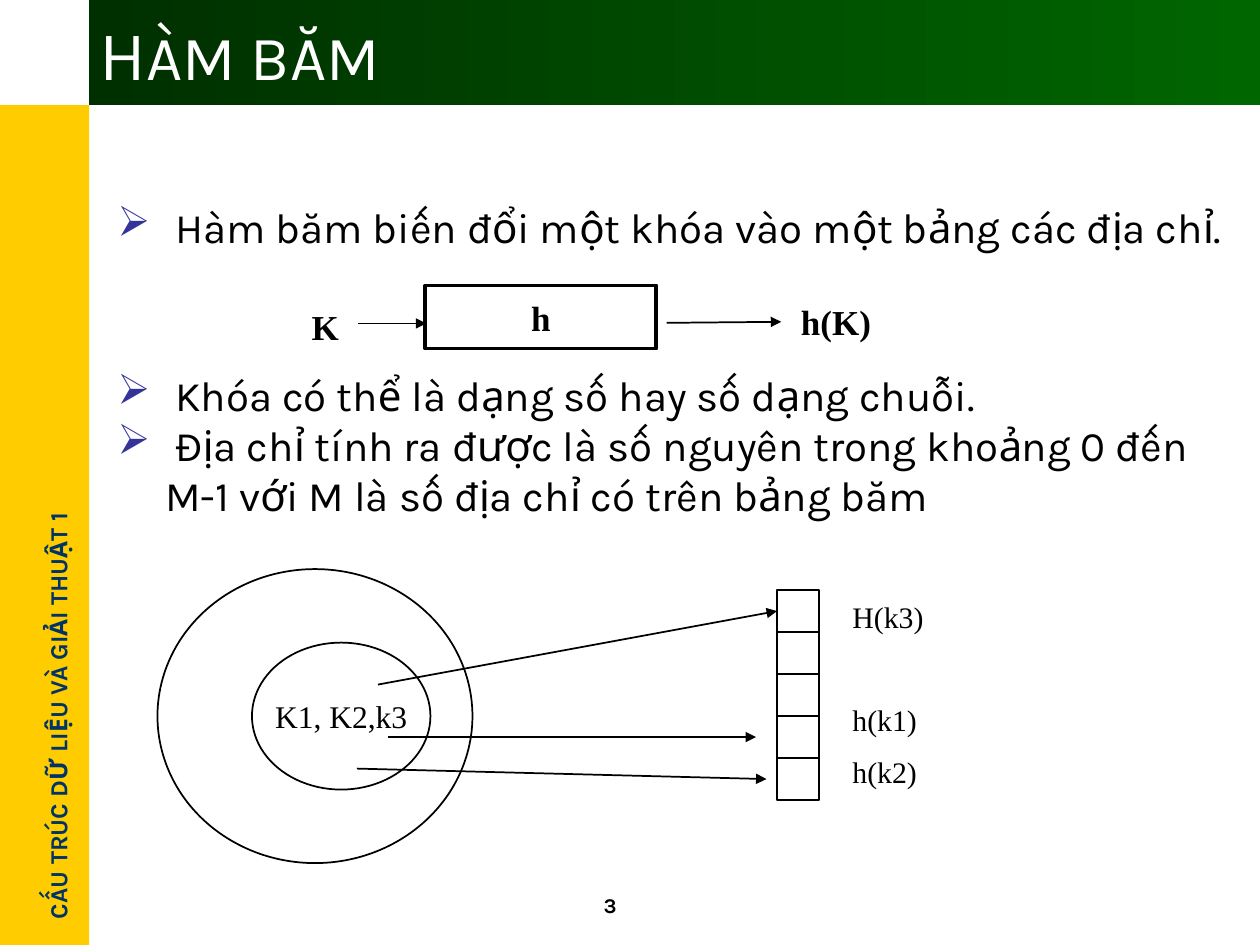
from dataclasses import dataclass

from lxml import etree
from pptx import Presentation
from pptx.dml.color import RGBColor
from pptx.enum.shapes import MSO_CONNECTOR, MSO_SHAPE
from pptx.enum.text import MSO_ANCHOR, MSO_AUTO_SIZE, PP_ALIGN
from pptx.oxml.ns import qn
from pptx.util import Inches, Pt

RECT, OVAL = MSO_SHAPE.RECTANGLE, MSO_SHAPE.OVAL
STRAIGHT = MSO_CONNECTOR.STRAIGHT
MIDDLE, TOP = MSO_ANCHOR.MIDDLE, MSO_ANCHOR.TOP
LEFT, CENTER = PP_ALIGN.LEFT, PP_ALIGN.CENTER
FIXED = MSO_AUTO_SIZE.NONE
COLUMNS, ROWS, UNIT = 120, 90, Inches(1 / 12)
LEFT_SIDE = 1


@dataclass(frozen=True)
class Theme:
    """Fonts, colours and type sizes of the slide."""
    sans: str = "Karla"
    serif: str = "Times New Roman"
    ink: str = "000000"
    paper: str = "FFFFFF"
    yellow: str = "FFCC00"
    navy: str = "003366"
    bullet: str = "333399"
    band: tuple = ("002F00", "006600")
    title_cap: int = 40
    title: int = 36
    body: int = 24
    formula: int = 20
    keys: int = 18
    label: int = 17
    course: int = 14
    number: int = 12


THEME = Theme()


def grid(*cells):
    """Turn grid columns and rows into slide lengths."""
    return [round(cell * UNIT) for cell in cells]


def style(font, size, face, color=THEME.ink, bold=False):
    """Format one font."""
    font.size, font.name, font.bold = Pt(size), face, bold
    font.color.rgb = RGBColor.from_string(color)


def write(shape, lines, size, face, color=THEME.ink, bold=False,
          align=LEFT, anchor=TOP, wrap=True, gaps=()):
    """Write styled paragraphs into a shape, with gaps before them."""
    frame = shape.text_frame
    frame.text = "\n".join(lines)
    frame.word_wrap, frame.vertical_anchor = wrap, anchor
    for paragraph in frame.paragraphs:
        paragraph.alignment = align
        for run in paragraph.runs:
            style(run.font, size, face, color, bold)
    for paragraph, gap in zip(frame.paragraphs[1:], gaps):
        paragraph.space_before = Pt(gap)


def add_text(slide, area, lines, size, face, **options):
    """Add a text box on the grid."""
    box = slide.shapes.add_textbox(*grid(*area))
    write(box, lines, size, face, **options)
    return box


def add_outline(slide, kind, area, width):
    """Add an unfilled shape with a black outline."""
    shape = slide.shapes.add_shape(kind, *grid(*area))
    shape.shadow.inherit = False
    shape.fill.background()
    shape.line.color.rgb = RGBColor.from_string(THEME.ink)
    shape.line.width = Pt(width)
    return shape


def add_panel(slide, area, *colors):
    """Add a borderless panel in one colour or a left-to-right gradient."""
    panel = slide.shapes.add_shape(RECT, *grid(*area))
    panel.shadow.inherit = False
    panel.line.fill.background()
    if len(colors) == 1:
        panel.fill.solid()
        panel.fill.fore_color.rgb = RGBColor.from_string(colors[0])
        return
    panel.fill.gradient()
    panel.fill.gradient_angle = 0
    for stop, color, position in zip(panel.fill.gradient_stops, colors, (0, 1)):
        stop.color.rgb = RGBColor.from_string(color)
        stop.position = position


def add_arrow(slide, start, end, target=None):
    """Add an arrow, joined to the left side of a target if one is given."""
    arrow = slide.shapes.add_connector(STRAIGHT, *grid(*start, *end))
    if target is not None:
        arrow.end_connect(target, LEFT_SIDE)
    arrow.line.color.rgb = RGBColor.from_string(THEME.ink)
    arrow.line.width = Pt(1)
    etree.SubElement(arrow.line._get_or_add_ln(), qn("a:tailEnd"), type="triangle")
    etree.SubElement(arrow._element.spPr, qn("a:effectLst"))


def add_bullets(slide, area, lines, gaps):
    """Add the arrowhead-bulleted statements."""
    box = add_text(slide, area, lines, THEME.body, THEME.sans, gaps=gaps)
    indent = Inches(0.38)
    for paragraph in box.text_frame.paragraphs:
        properties = paragraph._p.get_or_add_pPr()
        properties.set("marL", str(indent))
        properties.set("indent", str(-indent))
        color = etree.SubElement(properties, qn("a:buClr"))
        etree.SubElement(color, qn("a:srgbClr"), val=THEME.bullet)
        etree.SubElement(properties, qn("a:buChar"), char="➢")


def add_frame(slide):
    """Add the side strip, header band, course name, number and title."""
    add_panel(slide, (0, 10, 8.5, 80), THEME.yellow)
    add_panel(slide, (8.5, 0, 111.5, 10), *THEME.band)
    course = add_text(slide, (-17, 64.1, 45.1, 4.1),
                      ["CẤU TRÚC DỮ LIỆU VÀ GIẢI THUẬT 1"],
                      THEME.course, THEME.sans, color=THEME.navy, bold=True)
    course.rotation = 270
    add_text(slide, (56.3, 84.4, 9.2, 3.6), ["3"], THEME.number, THEME.sans, bold=True)
    title = slide.shapes.title
    title.left, title.top, title.width, title.height = grid(8.3, 0, 102, 10)
    write(title, ["H"], THEME.title_cap, THEME.sans, color=THEME.paper, anchor=MIDDLE)
    title.text_frame.auto_size = FIXED
    rest = title.text_frame.paragraphs[0].add_run()
    rest.text = "ÀM BĂM"
    style(rest.font, THEME.title, THEME.sans, THEME.paper)
    slide.shapes._spTree.append(title._element)


def add_function(slide):
    """Add the diagram of K going through h to h(K)."""
    function = add_outline(slide, RECT, (40.5, 27.2, 22, 6), 2.25)
    write(function, ["h"], THEME.formula, THEME.serif, bold=True,
          align=CENTER, anchor=MIDDLE, wrap=False)
    for area, name in (((28.5, 28.5, 5, 5.2), "K"), ((75.1, 28, 10.4, 5.2), "h(K)")):
        add_text(slide, area, [name], THEME.formula, THEME.serif, bold=True)
    add_arrow(slide, (34.1, 30.8), (40.6, 30.8))
    add_arrow(slide, (63.5, 30.75), (74.4, 30.65))


def add_mapping(slide):
    """Add the key sets, the address table and the arrows between them."""
    add_outline(slide, OVAL, (15, 54.2, 30, 28), 1)
    keys = add_outline(slide, OVAL, (24, 61.2, 17, 14), 1)
    write(keys, ["K1, K2,k3"], THEME.keys, THEME.serif,
          align=CENTER, anchor=MIDDLE, wrap=False)
    side = 4
    slots = [add_outline(slide, RECT, (74, 56.2 + side * row, side, side), 0.75)
             for row in range(5)]
    add_text(slide, (80, 56.4, 15, 20), ["H(k3)", "h(k1)", "h(k2)"],
             THEME.label, THEME.serif, gaps=(38.5, 9.5))
    add_arrow(slide, (36, 65.2), (74, 58.2), slots[0])
    add_arrow(slide, (37, 70.2), (72, 70.2))
    add_arrow(slide, (34, 73.2), (73, 74.2))


def main():
    """Build and save the slide."""
    deck = Presentation()
    deck.slide_width, deck.slide_height = grid(COLUMNS, ROWS)
    slide = deck.slides.add_slide(deck.slide_layouts[5])
    add_frame(slide)
    add_function(slide)
    add_bullets(slide, (10, 18.6, 110, 32.3), [
        " Hàm băm biến đổi một khóa vào một bảng các địa chỉ.",
        " Khóa có thể là dạng số hay số dạng chuỗi.",
        " Địa chỉ tính ra được là số nguyên trong khoảng 0 đến M-1 "
        "với M là số địa chỉ có trên bảng băm",
    ], gaps=(67, 0))
    add_mapping(slide)
    deck.save("out.pptx")


if __name__ == "__main__":
    main()
